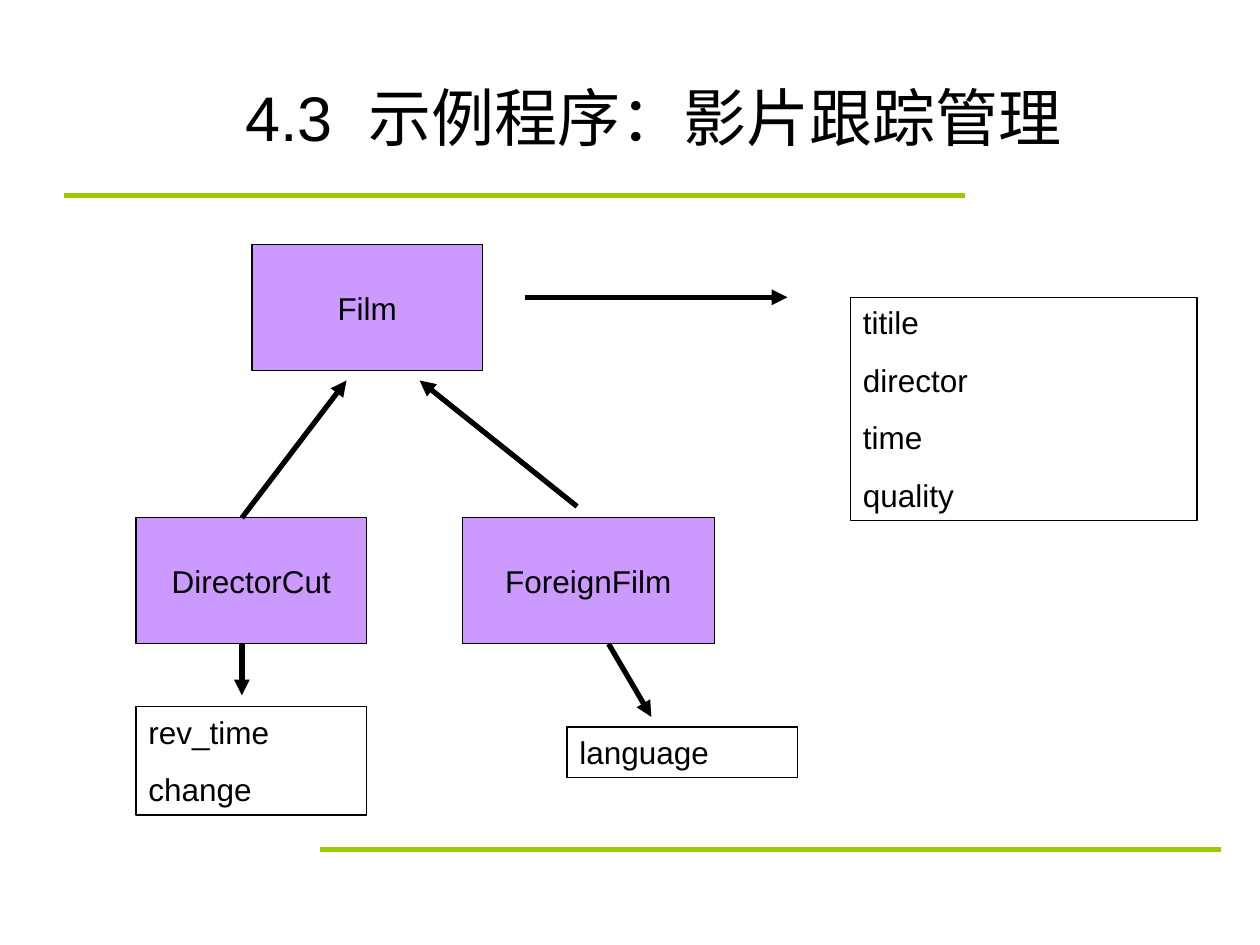
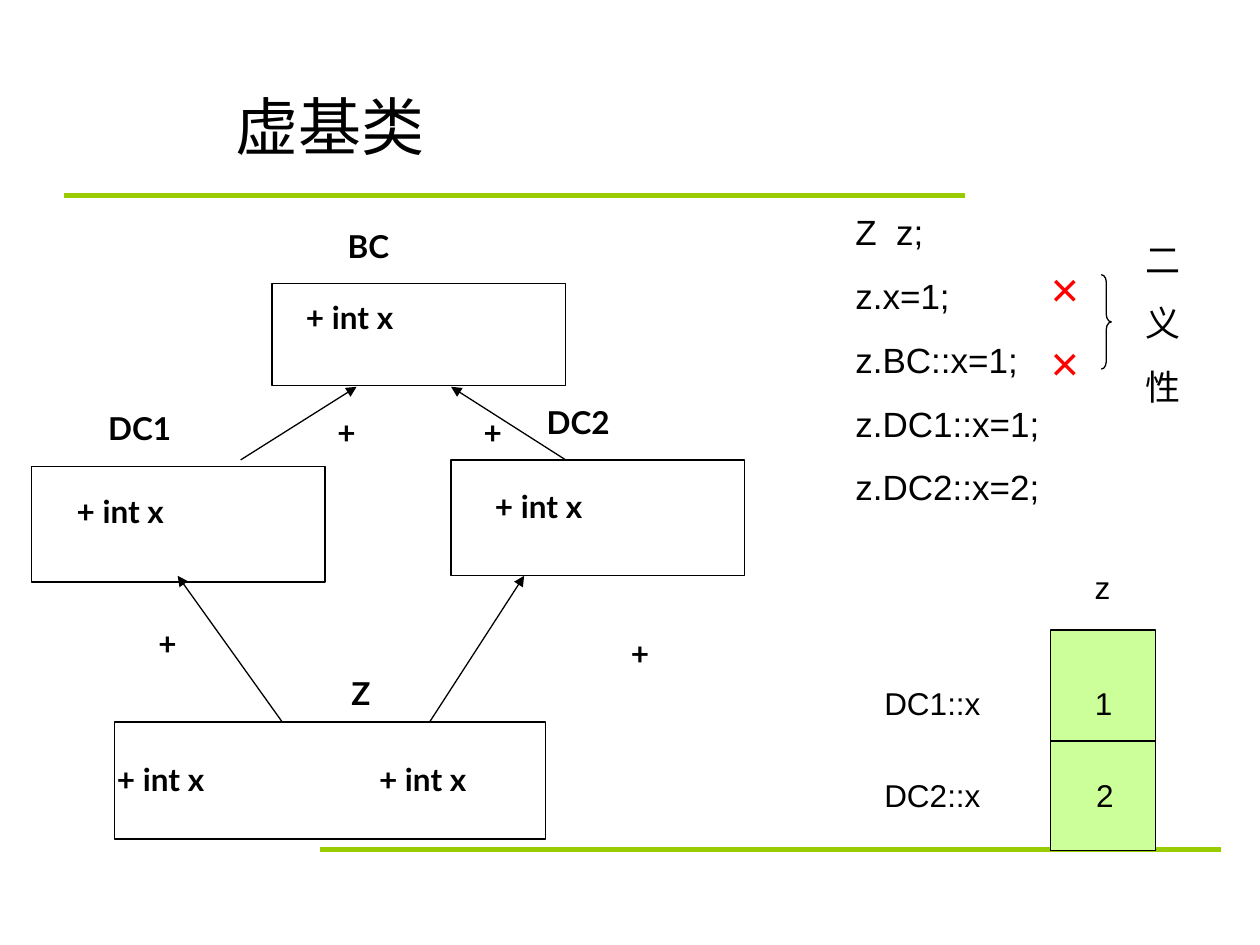
from pptx import Presentation
from pptx.dml.color import RGBColor as Rgb
from pptx.enum.shapes import MSO_CONNECTOR as Conn, MSO_SHAPE as Kind
from pptx.enum.text import MSO_ANCHOR as Anchor, PP_ALIGN as Align
from pptx.oxml.ns import qn
from pptx.util import Inches, Pt
from lxml.etree import SubElement

BLACK = Rgb(0x00, 0x00, 0x00)
LIME = Rgb(0x99, 0xCC, 0x00)
LILAC = Rgb(0xCC, 0x99, 0xFF)
MINT = Rgb(0xCC, 0xFF, 0x99)
RED = Rgb(0xFF, 0x00, 0x00)

PLAIN = {"name": "Arial", "size": Pt(18)}
BOLD = {"name": "Lato", "size": Pt(18), "bold": True}
CODE = {"name": "Arial", "size": Pt(20)}
CROSS = {"name": "Arial", "size": Pt(28)}
TITLE = {"name": "Arial", "size": Pt(36)}


def put(slide, spot, text="", form=PLAIN, color=BLACK, fill=None, edge=False,
        kind=Kind.RECTANGLE, anchor=Anchor.TOP, align=Align.LEFT, wrap=True):
    area = [Inches(v) for v in spot]
    if edge:
        box = slide.shapes.add_shape(kind, *area)
        box.shadow.inherit = False
        box.line.color.rgb = BLACK
        box.line.width = Pt(0.75)
        if fill is None:
            box.fill.background()
        else:
            box.fill.solid()
            box.fill.fore_color.rgb = fill
    else:
        box = slide.shapes.add_textbox(*area)
    if not text:
        return box
    frame = box.text_frame
    frame.word_wrap = wrap
    frame.vertical_anchor = anchor
    frame.text = text
    for i, para in enumerate(frame.paragraphs):
        para.alignment = align
        if i:
            para.space_before = Pt(form["size"].pt * 0.625)
        for run in para.runs:
            for key, value in form.items():
                setattr(run.font, key, value)
            run.font.color.rgb = color
    return box


def link(slide, ends, width=0.75, color=BLACK, arrow=True):
    line = slide.shapes.add_connector(Conn.STRAIGHT, *[Inches(v) for v in ends])
    line.line.color.rgb = color
    line.line.width = Pt(width)
    if arrow:
        SubElement(line.line._get_or_add_ln(), qn("a:tailEnd"), type="triangle")
    SubElement(line._element.spPr, qn("a:effectLst"))


deck = Presentation()
deck.slide_width = Inches(10)
deck.slide_height = Inches(7.5)

heads = [
    ("4.3  示例程序：影片跟踪管理", (1.85, 0.3, 7.65, 1.25), Anchor.MIDDLE),
    ("虚基类", (1.77, 0.44, 6.61, 0.9), Anchor.BOTTOM),
]
for name, spot, anchor in heads:
    slide = deck.slides.add_slide(deck.slide_layouts[6])
    for x, y in [(0.51, 1.55), (2.54, 6.74)]:
        link(slide, (x, y, x + 7.15, y), 3, LIME, False)
    put(slide, spot, name, TITLE, anchor=anchor)
film, base = deck.slides

for name, x, y, w in [
    ("Film", 2, 1.94, 1.83),
    ("DirectorCut", 1.08, 4.11, 1.83),
    ("ForeignFilm", 3.67, 4.11, 2),
]:
    put(film, (x, y, w, 1), name, fill=LILAC, edge=True,
        anchor=Anchor.MIDDLE, align=Align.CENTER, wrap=False)

for text, spot in [
    ("titile\ndirector\ntime\nquality", (6.75, 2.36, 2.75, 1.77)),
    ("language", (4.5, 5.77, 1.83, 0.4)),
    ("rev_time\nchange", (1.08, 5.61, 1.83, 0.86)),
]:
    put(film, spot, text, edge=True)

for ends in [
    (1.92, 4.11, 2.75, 3.02),
    (4.58, 4.02, 3.33, 3.02),
    (4.17, 2.36, 6.25, 2.36),
    (1.92, 5.11, 1.92, 5.52),
    (4.83, 5.11, 5.17, 5.69),
]:
    link(film, ends, 3)

for spot in [
    (2.16, 2.25, 2.33, 0.81),
    (0.25, 3.7, 2.33, 0.92),
    (3.58, 3.65, 2.33, 0.92),
    (0.91, 5.73, 3.42, 0.93),
]:
    put(base, spot, edge=True)

for ends in [
    (1.91, 3.65, 2.83, 3.07),
    (4.49, 3.65, 3.58, 3.07),
    (2.24, 5.73, 1.41, 4.57),
    (3.41, 5.73, 4.16, 4.57),
]:
    link(base, ends)

tags = {
    "BC": [(2.66, 1.75)],
    "DC1": [(0.76, 3.2)],
    "DC2": [(4.24, 3.15)],
    "Z": [(2.69, 5.3)],
    "+": [(2.58, 3.23), (3.74, 3.23), (1.16, 4.9), (4.91, 4.98)],
    "+ int x": [(2.33, 2.32), (0.51, 3.86), (3.83, 3.82), (0.83, 5.98), (2.91, 5.98)],
}
for text, spots in tags.items():
    wide = 1.58 if len(text) > 1 else 0.6
    for x, y in spots:
        put(base, (x, y, wide, 0.4), text, BOLD)

put(base, (6.69, 1.62, 2.17, 2.46),
    "Z  z;\nz.x=1;\nz.BC::x=1;\nz.DC1::x=1;\nz.DC2::x=2;", CODE)

put(base, (8.34, 5, 0.83, 1.75), fill=MINT, edge=True)
link(base, (8.34, 5.88, 9.17, 5.88), arrow=False)
put(base, (8.59, 4.46, 0.67, 0.4), "z")
for name, value, x, y in [("DC1::x", "1", 8.59, 5.38), ("DC2::x", "2", 8.6, 6.11)]:
    put(base, (6.92, y, 1.33, 0.4), name)
    put(base, (x, y, 0.42, 0.4), value)

put(base, (8.99, 1.84, 0.42, 1.45), "二\n义\n性", CODE)
for y in (2.59, 2):
    put(base, (8.24, y, 0.42, 0.57), "×", CROSS, RED, wrap=False)
brace = put(base, (8.74, 2.18, 0.08, 0.75), edge=True, kind=Kind.RIGHT_BRACE)
brace.adjustments[0] = 0.75

deck.save("out.pptx")
